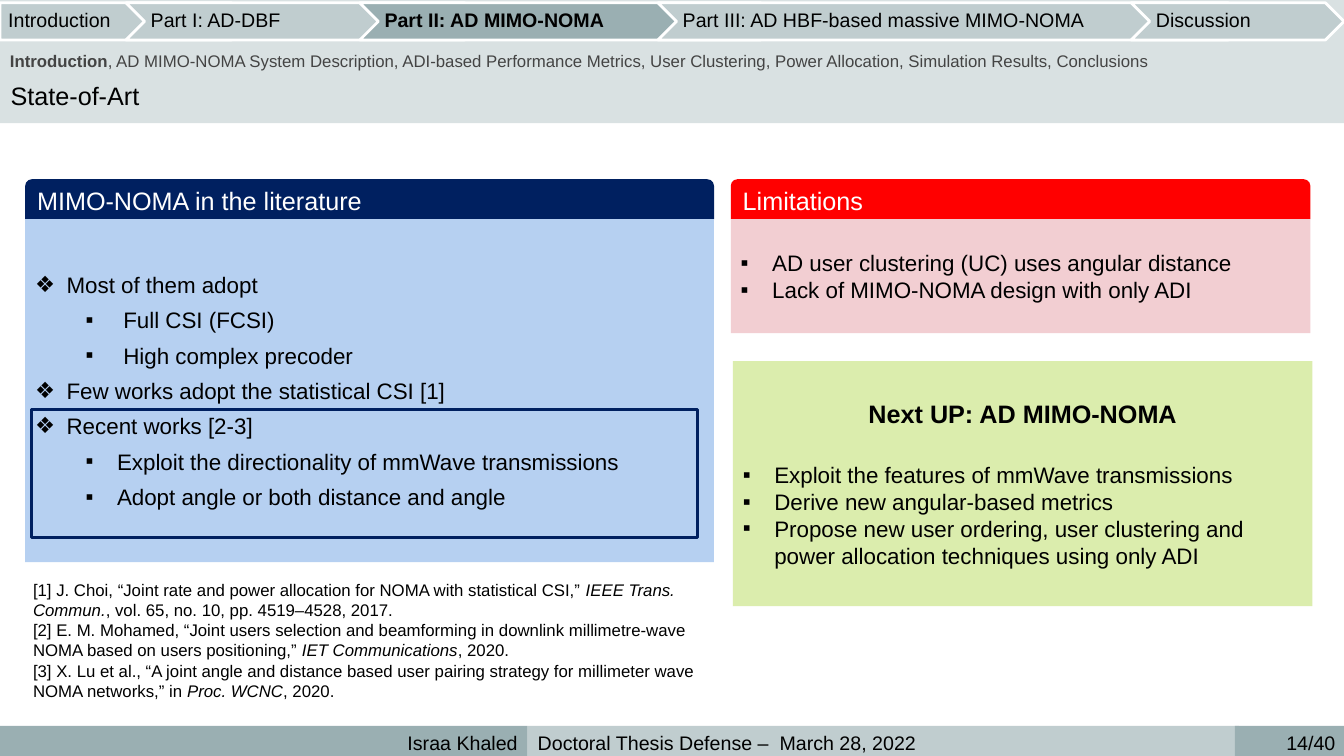
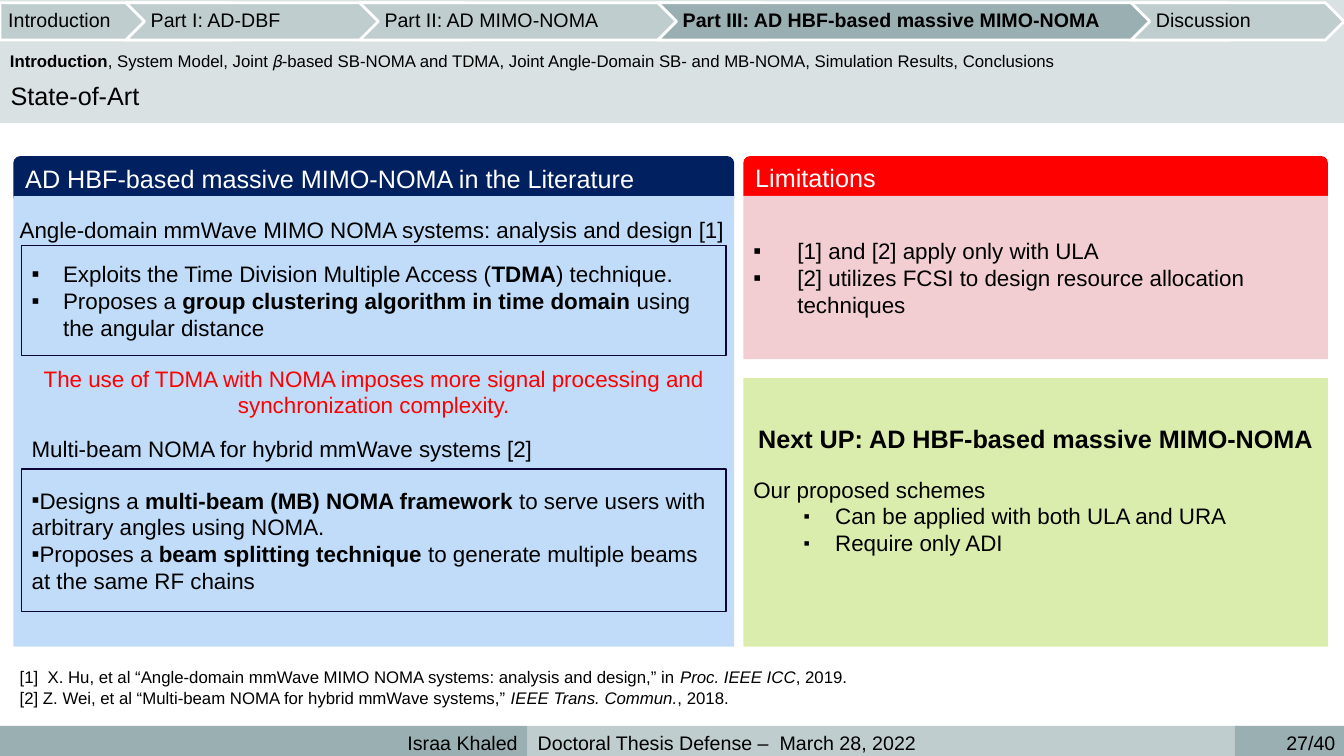
import dataclasses

import lxml.etree
import pptx
import pptx.dml.color
import pptx.enum.shapes
import pptx.enum.text
import pptx.oxml.ns
import pptx.util

Pt = pptx.util.Pt
Color = pptx.dml.color.RGBColor
Shape = pptx.enum.shapes.MSO_SHAPE
Align = pptx.enum.text.PP_ALIGN
Anchor = pptx.enum.text.MSO_ANCHOR

FONT = "Arial"
BLACK = Color(0x00, 0x00, 0x00)
WHITE = Color(0xFF, 0xFF, 0xFF)
GRAY = Color(0x44, 0x44, 0x44)
RED = Color(0xFF, 0x00, 0x00)
NAVY = Color(0x00, 0x20, 0x60)
INK = Color(0x0C, 0x06, 0x36)
PALE = Color(0xD9, 0xE1, 0xE2)
LIGHT = Color(0xC0, 0xCD, 0xCF)
DARK = Color(0x9A, 0xAF, 0xB2)
BLUE = Color(0xB6, 0xD0, 0xF1)
SKY = Color(0xC0, 0xDC, 0xF8)
PINK = Color(0xF2, 0xCE, 0xD2)
GREEN = Color(0xDB, 0xED, 0xAD)

WIDTH, HEIGHT = 960, 540
HEADER_HEIGHT = 28.5


@dataclasses.dataclass
class Style:
    size: float = 16
    color: Color = BLACK
    align: Align = Align.LEFT
    bullet: str = ""
    bullet_size: int = 100
    left: float = 0
    hang: float = 0
    level: int = 0
    after: float = 0
    line: float = 1


PLAIN = Style()
NAV = Style(size=14, line=0.9)
FOOTER = Style(size=14)
FOOTER_RIGHT = Style(size=14, align=Align.RIGHT)
TITLE = Style(size=18)
HEADER = Style(size=18, color=WHITE)
REFERENCE = Style(size=12)
WARNING = Style(color=RED, align=Align.CENTER)
DIAMOND = Style(bullet="❖", left=22.5, hang=22.5, after=6)
SUB_WIDE = Style(bullet="▪", left=63, hang=27, level=1, after=6)
SUB = Style(bullet="▪", left=58.5, hang=22.5, level=1, after=6)
SUB_SMALL = Style(bullet="▪", bullet_size=80, left=58.5, hang=22.5, level=1)
SQUARE = Style(bullet="▪", left=22.5, hang=22.5)
SQUARE_WIDE = Style(bullet="▪", left=31.5, hang=31.5)
SQUARE_TIGHT = Style(bullet="▪", hang=31.5, level=1)

# Shared content: navigation steps are (label, left, width)
STEPS = [
    ("Introduction", 0, 178.5),
    ("Part I: AD-DBF", 90, 255),
    ("Part II: AD MIMO-NOMA", 257, 299.5),
    ("Part III: AD HBF-based massive MIMO-NOMA", 470, 420.5),
    ("Discussion", 808, 152),
]
AUTHOR = "Israa Khaled"
EVENT = "Doctoral Thesis Defense –  March 28, 2022"
TOTAL = 40

# Slide content: *bold*, _italic_; places are (left, top, width, height)
SLIDES = [
    {
        "number": 14,
        "active": 2,
        "title": "State-of-Art",
        "outline": ("*Introduction*, AD MIMO-NOMA System Description, ADI-based Performance Metrics, "
                    "User Clustering, Power Allocation, Simulation Results, Conclusions"),
        "outline_color": GRAY,
        "panels": [
            ("MIMO-NOMA in the literature", NAVY, BLUE, (18, 128, 492, 273.5), HEADER_HEIGHT, [
                (DIAMOND, "Most of them adopt"),
                (SUB_WIDE, "Full CSI (FCSI)"),
                (SUB_WIDE, "High complex precoder"),
                (DIAMOND, "Few works adopt the statistical CSI [1]"),
                (DIAMOND, "Recent works [2-3]"),
                (SUB, "Exploit the directionality of mmWave transmissions"),
                (SUB, "Adopt angle or both distance and angle"),
            ]),
            ("Limitations", RED, PINK, (522, 128, 414, 110), HEADER_HEIGHT, [
                (SQUARE, "AD user clustering (UC) uses angular distance"),
                (SQUARE, "Lack of MIMO-NOMA design with only ADI"),
            ]),
        ],
        "next": ((523.5, 258, 414, 175), 23, 3.6, [
            "*Next UP: AD MIMO-NOMA*",
            (SQUARE, "Exploit the features of mmWave transmissions"),
            (SQUARE, "Derive new angular-based metrics"),
            (SQUARE, "Propose new user ordering, user clustering and "
                     "power allocation techniques using only ADI"),
        ]),
        "frames": [((22.5, 292.5, 475.5, 91.5), NAVY, 2.25, [])],
        "notes": [
            ((16.5, 410.5, 492, 100), [
                (REFERENCE, "[1] J. Choi, “Joint rate and power allocation for NOMA with statistical CSI,” "
                            "_IEEE Trans. Commun._, vol. 65, no. 10, pp. 4519–4528, 2017."),
                (REFERENCE, "[2] E. M. Mohamed, “Joint users selection and beamforming in downlink "
                            "millimetre-wave NOMA based on users positioning,” _IET Communications_, 2020."),
                (REFERENCE, "[3] X. Lu et al., “A joint angle and distance based user pairing strategy for "
                            "millimeter wave NOMA networks,” in _Proc. WCNC_, 2020."),
            ]),
        ],
    },
    {
        "number": 27,
        "active": 3,
        "title": "State-of-Art",
        "outline": ("*Introduction*, System Model, Joint 𝛽-based SB-NOMA and TDMA, "
                    "Joint Angle-Domain SB- and MB-NOMA, Simulation Results, Conclusions"),
        "outline_color": BLACK,
        "panels": [
            ("AD HBF-based massive MIMO-NOMA in the Literature", NAVY, SKY,
             (9.5, 111.5, 515, 350.5), 30.5, []),
            ("Limitations", RED, PINK, (531, 111.5, 417.5, 145), HEADER_HEIGHT, [
                (SQUARE_WIDE, "[1] and [2] apply only with ULA"),
                (SQUARE_WIDE, "[2] utilizes FCSI to design resource allocation techniques"),
            ]),
        ],
        "next": ((531, 270, 417.5, 192), 16, 36, [
            "*Next UP: AD HBF-based massive MIMO-NOMA*",
            (PLAIN, "Our proposed schemes"),
            (SUB_SMALL, "Can be applied with both ULA and URA"),
            (SUB_SMALL, "Require only ADI"),
        ]),
        "frames": [
            ((15.5, 175.5, 503, 78.5), INK, 1, [
                (SQUARE, "Exploits the Time Division Multiple Access (*TDMA*) technique."),
                (SQUARE, "Proposes a *group clustering algorithm in time domain* using the angular distance"),
            ]),
            ((15.5, 335, 503, 102), INK, 1, [
                (SQUARE_TIGHT, "Designs a *multi-beam (MB) NOMA framework* to serve users with "
                               "arbitrary angles using NOMA."),
                (SQUARE_TIGHT, "Proposes a *beam splitting technique* to generate multiple beams "
                               "at the same RF chains"),
            ]),
        ],
        "notes": [
            ((7, 473, 905, 36), [
                (REFERENCE, "[1]  X. Hu, et al “Angle-domain mmWave MIMO NOMA systems: analysis and design,” "
                            "in _Proc. IEEE ICC_, 2019."),
                (REFERENCE, "[2] Z. Wei, et al “Multi-beam NOMA for hybrid mmWave systems,” "
                            "_IEEE Trans. Commun._, 2018."),
            ]),
            ((7, 150.5, 521, 26.5),
             [(PLAIN, "Angle-domain mmWave MIMO NOMA systems: analysis and design [1]")]),
            ((9.5, 257, 515, 46),
             [(WARNING, "The use of TDMA with NOMA imposes more signal processing and "
                        "synchronization complexity.")]),
            ((15.5, 307.5, 483, 26.5), [(PLAIN, "Multi-beam NOMA for hybrid mmWave systems [2]")]),
        ],
    },
]


def format_bullet(para, style):
    properties = para._p.get_or_add_pPr()
    properties.set("marL", str(Pt(style.left)))
    properties.set("indent", str(-Pt(style.hang)))
    for tag, name, value in [("buSzPct", "val", style.bullet_size * 1000),
                             ("buFont", "typeface", FONT),
                             ("buChar", "char", style.bullet)]:
        element = lxml.etree.SubElement(properties, pptx.oxml.ns.qn("a:" + tag))
        element.set(name, str(value))


def write(box, paragraphs):
    """Fill a box with (style, text) paragraphs."""
    frame = box.text_frame
    frame.word_wrap = True
    for index, (style, text) in enumerate(paragraphs):
        para = frame.add_paragraph() if index else frame.paragraphs[0]
        para.alignment = style.align
        para.level = style.level
        para.line_spacing = style.line
        para.space_after = Pt(style.after)
        if style.bullet:
            format_bullet(para, style)
        for bold, part in enumerate(text.split("*")):
            for italic, piece in enumerate(part.split("_")):
                if piece:
                    span = para.add_run()
                    span.text = piece
                    span.font.name = FONT
                    span.font.size = Pt(style.size)
                    span.font.color.rgb = style.color
                    span.font.bold = bold % 2 == 1
                    span.font.italic = italic % 2 == 1


def add_box(page, place, fill=None, paragraphs=(), kind=Shape.RECTANGLE, line=None, weight=1):
    box = page.shapes.add_shape(kind, *map(Pt, place))
    box.shadow.inherit = False
    if fill is None:
        box.fill.background()
    else:
        box.fill.solid()
        box.fill.fore_color.rgb = fill
    if line is None:
        box.line.fill.background()
    else:
        box.line.color.rgb = line
        box.line.width = Pt(weight)
    box.text_frame.vertical_anchor = Anchor.MIDDLE
    write(box, paragraphs)
    return box


def add_text(page, place, paragraphs):
    write(page.shapes.add_textbox(*map(Pt, place)), paragraphs)


def add_frame_parts(page, content):
    """Title band, footer and navigation, alike on every slide."""
    add_box(page, (0, -0.5, WIDTH, 88.5), PALE)
    for left, width, fill, style, text in [
        (0, 377, DARK, FOOTER_RIGHT, AUTHOR),
        (377, 508, LIGHT, FOOTER, EVENT),
        (882, 79, DARK, FOOTER_RIGHT, f"{content['number']}/{TOTAL}"),
    ]:
        add_box(page, (left, 518.4, width, 24.4), fill, [(style, text)])
    outline_style = Style(size=12, color=content["outline_color"])
    add_text(page, (0, 32.5, 894, 22), [(outline_style, content["outline"])])
    add_text(page, (0.5, 54, 482, 29), [(TITLE, content["title"])])
    for index, (label, left, width) in enumerate(STEPS):
        active = index == content["active"]
        step = add_box(page, (left, 2, width, 26.6), DARK if active else LIGHT,
                       [(NAV, f"*{label}*" if active else label)],
                       Shape.CHEVRON if index else Shape.PENTAGON, WHITE, 2)
        step.text_frame.margin_left = Pt(4.4 if index else 5.8)
        step.text_frame.margin_right = Pt(1.4)


def add_panel(page, title, header_fill, body_fill, place, header_height, paragraphs):
    left, top, width, height = place
    add_box(page, (left, top, width, header_height), header_fill,
            [(HEADER, title)], Shape.ROUND_2_SAME_RECTANGLE)
    add_box(page, (left, top + HEADER_HEIGHT, width, height - HEADER_HEIGHT), body_fill, paragraphs)


def add_next(page, place, gap, bottom, paragraphs):
    heading = Style(size=18, align=Align.CENTER, after=gap)
    box = add_box(page, place, GREEN, [(heading, paragraphs[0]), *paragraphs[1:]])
    box.text_frame.margin_bottom = Pt(bottom)


def main():
    deck = pptx.Presentation()
    deck.slide_width, deck.slide_height = Pt(WIDTH), Pt(HEIGHT)
    for content in SLIDES:
        page = deck.slides.add_slide(deck.slide_layouts[6])
        add_frame_parts(page, content)
        for panel in content["panels"]:
            add_panel(page, *panel)
        add_next(page, *content["next"])
        for place, line, weight, paragraphs in content["frames"]:
            add_box(page, place, None, paragraphs, line=line, weight=weight)
        for place, paragraphs in content["notes"]:
            add_text(page, place, paragraphs)
    deck.save("out.pptx")


if __name__ == "__main__":
    main()
